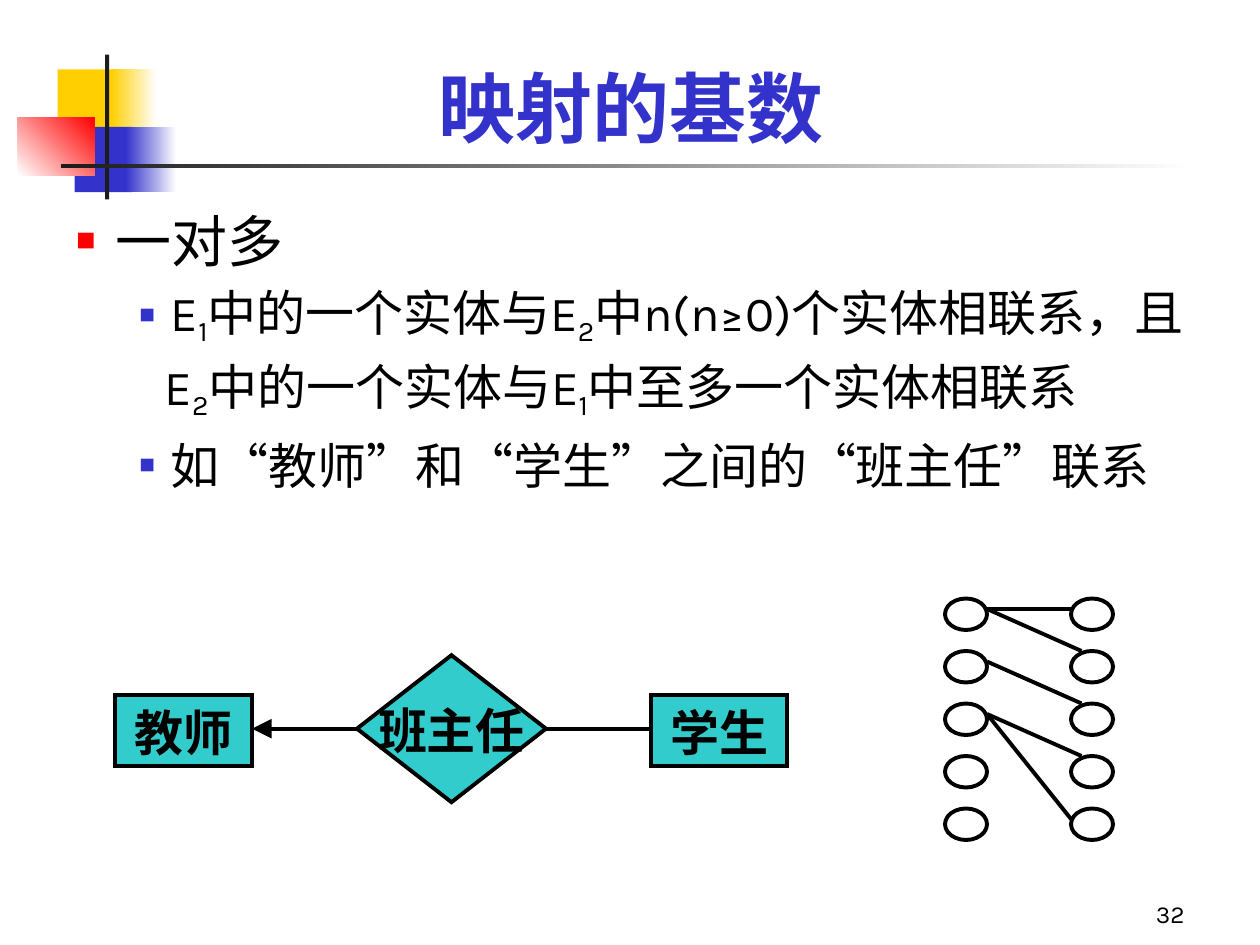
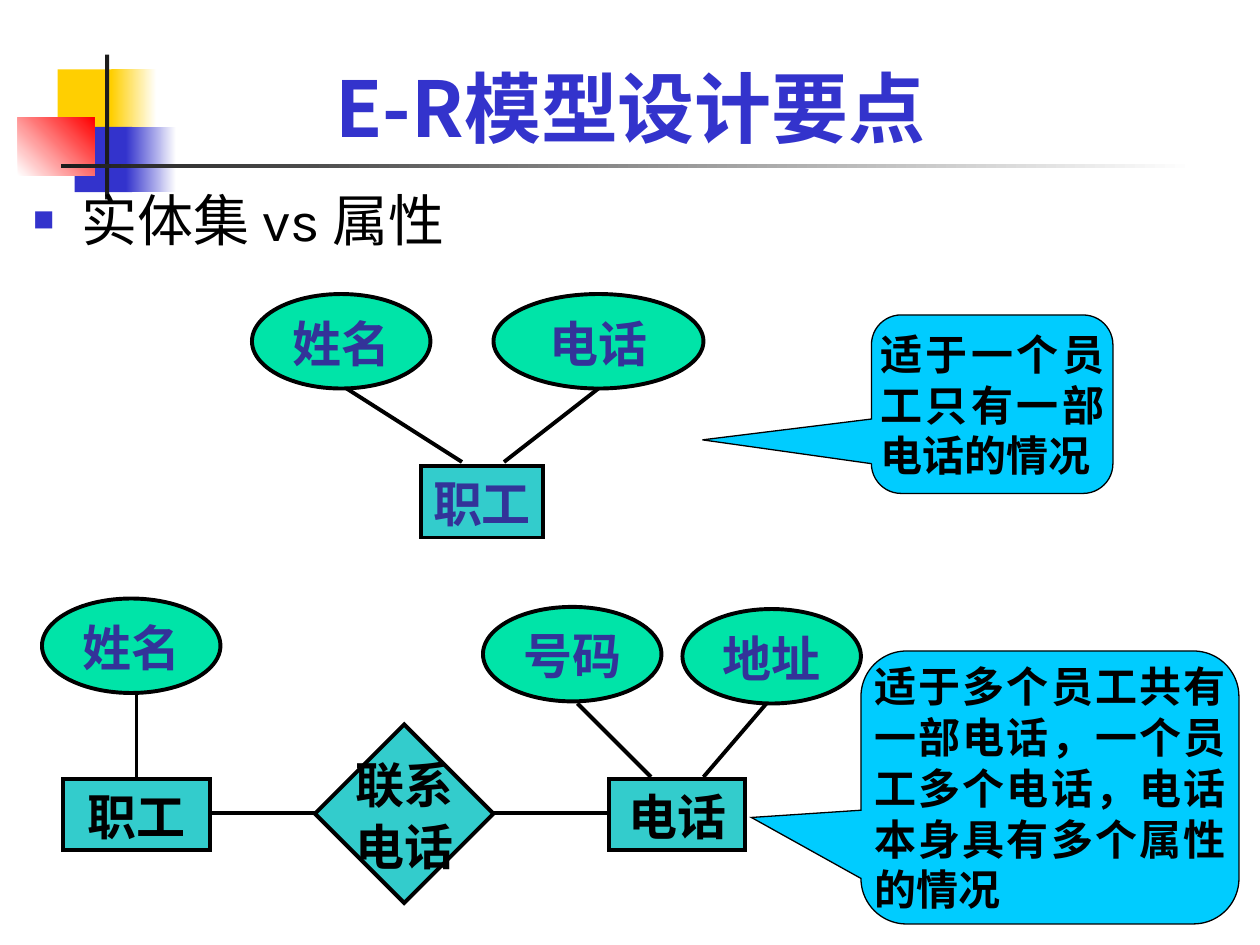
"""Build two slides on mapping cardinality and E-R model design."""
from dataclasses import dataclass

from lxml import etree
from pptx import Presentation
from pptx.dml.color import RGBColor
from pptx.enum.shapes import MSO_CONNECTOR, MSO_SHAPE
from pptx.enum.text import MSO_ANCHOR, PP_ALIGN
from pptx.oxml.ns import qn
from pptx.util import Inches, Pt

RECT, OVAL, DIAMOND = MSO_SHAPE.RECTANGLE, MSO_SHAPE.OVAL, MSO_SHAPE.DIAMOND
CALLOUT = MSO_SHAPE.ROUNDED_RECTANGULAR_CALLOUT
STRAIGHT = MSO_CONNECTOR.STRAIGHT
TOP, MIDDLE, BOTTOM = MSO_ANCHOR.TOP, MSO_ANCHOR.MIDDLE, MSO_ANCHOR.BOTTOM
CENTER, RIGHT, JUSTIFY = PP_ALIGN.CENTER, PP_ALIGN.RIGHT, PP_ALIGN.JUSTIFY


@dataclass(frozen=True)
class Theme:
    """Colours, fonts and type sizes of the deck."""
    ink: str = "000000"
    dark: str = "1C1C1C"
    white: str = "FFFFFF"
    blue: str = "3333CC"
    navy: str = "333399"
    gold: str = "FFCF01"
    red: str = "FF0000"
    teal: str = "33CCCC"
    green: str = "00E4A8"
    sky: str = "00CCFF"
    sans: str = "Karla"
    serif: str = "Times New Roman"
    han: str = "Noto Sans CJK SC"
    title: int = 44
    head: int = 32
    body: int = 28
    note: int = 24
    foot: int = 14
    thick: float = 2.25
    thin: float = 0.75


T = Theme()
WIDTH, HEIGHT, COLS = 10, 7.5, 120
CELL = Inches(WIDTH) / COLS
LEAD = {T.head: 41, T.body: 35, T.note: 29}

BANDS = [
    ((5.5, 6.6, 5.8, 6.2), (T.gold,)),
    ((10.6, 6.6, 4.3, 6.2), (T.gold, T.white, 0)),
    ((7.1, 12.1, 5.5, 6.2), (T.blue,)),
    ((12, 12.1, 4.8, 6.2), (T.blue, T.white, 0)),
    ((1.7, 11.2, 7.3, 5.5), (T.white, T.red, 45)),
    ((10, 5.2, 0.4, 13.8), (T.dark,)),
    ((5.8, 15.6, 108, 0.4), (T.dark, T.white, 0)),
]

KINDS = {
    "entity": (RECT, T.teal, T.ink),
    "field": (OVAL, T.green, T.navy),
    "key": (RECT, T.teal, T.navy),
    "tie": (DIAMOND, T.teal, T.ink),
}

SUB = dict(size=T.body, left=1.25, hang=-0.25, before=7)
DOT = dict(bullet=T.blue, scale=32)

SLIDES = [
    dict(
        title="映射的基数", page="32", box=(0.1, 19, 117.5, 39.2),
        lines=[
            ("一对多", dict(size=T.head, left=0.81, hang=-0.31,
                         bullet=T.red, scale=35)),
            ("E~1~中的一个实体与E~2~中n(n≥0)个实体相联系，且", SUB | DOT),
            ("E~2~中的一个实体与E~1~中至多一个实体相联系", SUB | {"hang": -0.05}),
            ("如“教师”和“学生”之间的“班主任”联系", SUB | DOT),
        ],
        nodes=[
            ("entity", "教师", (11, 66.2, 13, 6.8)),
            ("entity", "学生", (62, 66.2, 13, 6.8)),
            ("tie", "班主任", (34, 62.4, 18, 14)),
        ],
        links=[(24, 69.4, 34, 69.4, True), (52, 69.4, 62, 69.4)],
        notes=[],
        pairs=[(0, 0, 0, 1), (0, 1, 1, 0), (1, 2, 1, 0),
               (2, 3, 1, 0), (2, 4, 0, 1)],
    ),
    dict(
        title="E-R模型设计要点", page=None, box=(2, 17, 116, 73),
        lines=[("实体集 vs 属性", dict(size=T.head, left=0.38, hang=-0.38,
                                  bullet=T.blue, scale=38))],
        nodes=[
            ("key", "职工", (40.1, 44.4, 11.6, 6.8)),
            ("field", "姓名", (24, 28, 17, 9)),
            ("field", "电话", (47, 28, 20, 9)),
            ("entity", "职工", (6, 74.2, 14, 6.8)),
            ("entity", "电话", (58, 74.2, 13, 6.8)),
            ("tie", "联系\n电话", (30, 69, 17, 17)),
            ("field", "姓名", (4, 57, 17, 9)),
            ("field", "号码", (46, 57.8, 17, 9)),
            ("field", "地址", (65, 58, 17, 9)),
        ],
        links=[
            (57, 37, 48, 44), (44, 44, 33, 37), (20, 77.4, 30, 77.4),
            (47, 77.4, 58, 77.4), (13, 74, 13, 66), (62, 74, 55, 67),
            (67, 74, 73, 67),
        ],
        notes=[
            ("适于一个员工只有一部电话的情况", (83, 30, 23, 17), (-1.2, 0.2)),
            ("适于多个员工共有一部电话，一个员工多个电话，电话本身具有多个属性的情况",
             (82, 62, 36, 26), (-0.79, 0.11)),
        ],
        pairs=[],
    ),
]


def grid(spots):
    """Turn grid cells into lengths."""
    return [round(spot * CELL) for spot in spots]


def color(code):
    """Return a colour from its hex code."""
    return RGBColor.from_string(code)


def child(node, tag, **attrs):
    """Append a drawing element with attributes."""
    return etree.SubElement(node, qn("a:" + tag), attrs)


def write(para, text, size=T.body, font=T.sans, ink=T.ink, bold=False,
          align=JUSTIFY, lead=None, before=0, left=0, hang=0,
          bullet=None, scale=100):
    """Write text into a paragraph; parts between tildes are subscripts."""
    para.alignment = align
    para.space_before = Pt(before)
    if lead:
        para.line_spacing = Pt(lead)
    props = para._p.get_or_add_pPr()
    props.set("marL", str(Inches(left)))
    props.set("indent", str(Inches(hang)))
    if bullet:
        child(child(props, "buClr"), "srgbClr", val=bullet)
        child(props, "buSzPct", val=str(scale * 1000))
        child(props, "buFont", typeface=T.han)
        child(props, "buChar", char="■")
    else:
        child(props, "buNone")
    for turn, part in enumerate(text.split("~")):
        run = para.add_run()
        run.text = part
        run.font.size, run.font.bold, run.font.name = Pt(size), bold, font
        run.font.color.rgb = color(ink)
        look = run._r.get_or_add_rPr()
        child(look, "ea", typeface=T.han)
        if turn % 2:
            look.set("baseline", "-20000")


def fill_in(shape, lines, anchor=MIDDLE, wrap=True, pads=(0, 0, 0, 0)):
    """Lay out (text, format) lines inside a shape."""
    frame = shape.text_frame
    frame.word_wrap, frame.vertical_anchor = wrap, anchor
    (frame.margin_left, frame.margin_top,
     frame.margin_right, frame.margin_bottom) = map(Inches, pads)
    for turn, (text, look) in enumerate(lines):
        para = frame.add_paragraph() if turn else frame.paragraphs[0]
        write(para, text, **look)


def draw(slide, kind, box, paint=(), line=0):
    """Draw a preset shape with a flat, graded or empty fill."""
    shape = slide.shapes.add_shape(kind, *grid(box))
    shape.shadow.inherit = False
    if len(paint) == 3:
        shape.fill.gradient()
        shape.fill.gradient_angle = paint[2]
        for stop, code in zip(shape.fill.gradient_stops, paint):
            stop.color.rgb = color(code)
    elif paint:
        shape.fill.solid()
        shape.fill.fore_color.rgb = color(paint[0])
    else:
        shape.fill.background()
    if line:
        shape.line.color.rgb, shape.line.width = color(T.ink), Pt(line)
        child(shape.line._get_or_add_ln(), "miter", lim="800000")
    else:
        shape.line.fill.background()
    return shape


def link(slide, x1, y1, x2, y2, arrow=False):
    """Draw a line, with an arrowhead at its start if asked."""
    wire = slide.shapes.add_connector(STRAIGHT, *grid((x1, y1, x2, y2)))
    wire.line.color.rgb, wire.line.width = color(T.ink), Pt(T.thick)
    if arrow:
        child(wire.line._get_or_add_ln(), "headEnd", type="triangle",
              w="lg", len="lg")
    child(wire._element.spPr, "effectLst")


def place(slide, box, lines, **look):
    """Add a text box on the grid."""
    fill_in(slide.shapes.add_textbox(*grid(box)), lines, **look)


def frame(slide, title, page):
    """Add the shared bands, the title and any page number."""
    for box, paint in BANDS:
        draw(slide, RECT, box, paint)
    place(slide, (9, 3, 102.2, 12.2),
          [(title, dict(size=T.title, font=T.han, ink=T.blue, bold=True,
                        align=CENTER))],
          anchor=BOTTOM, pads=(0.1, 0, 0.1, 0.05))
    if page:
        place(slide, (89, 83, 25, 6),
              [(page, dict(size=T.foot, align=RIGHT))],
              anchor=BOTTOM, pads=(0.1, 0.05, 0.1, 0.05))


def match(slide, pairs):
    """Draw two columns of dots and the lines between them."""
    left, right, top, step, wide, high = 90, 102, 57, 5, 4, 3
    for col in (left, right):
        for row in range(5):
            draw(slide, OVAL, (col, top + step * row, wide, high),
                 line=T.thick)
    for start, end, dx, dy in pairs:
        link(slide, left + wide, top + step * start + 1,
             right + dx, top + step * end + dy)


def build(slide, data):
    """Fill one slide from its content."""
    frame(slide, data["title"], data["page"])
    place(slide, data["box"],
          [(text, look | {"lead": LEAD[look["size"]]})
           for text, look in data["lines"]],
          anchor=TOP, pads=(0.1, 0.02, 0.1, 0.05))
    for kind, text, box in data["nodes"]:
        form, paint, ink = KINDS[kind]
        look = dict(font=T.serif, ink=ink, bold=True, align=CENTER,
                    lead=LEAD[T.body])
        fill_in(draw(slide, form, box, (paint,), T.thick),
                [(part, look) for part in text.split("\n")], wrap=False)
    for ends in data["links"]:
        link(slide, *ends)
    for text, box, tip in data["notes"]:
        shape = draw(slide, CALLOUT, box, (T.sky,), T.thin)
        shape.adjustments[0], shape.adjustments[1] = tip
        fill_in(shape, [(text, dict(size=T.note, font=T.serif, bold=True,
                                    lead=LEAD[T.note]))])
    if data["pairs"]:
        match(slide, data["pairs"])


def main():
    """Build and save the deck."""
    deck = Presentation()
    deck.slide_width, deck.slide_height = Inches(WIDTH), Inches(HEIGHT)
    for data in SLIDES:
        build(deck.slides.add_slide(deck.slide_layouts[6]), data)
    deck.save("out.pptx")


if __name__ == "__main__":
    main()
